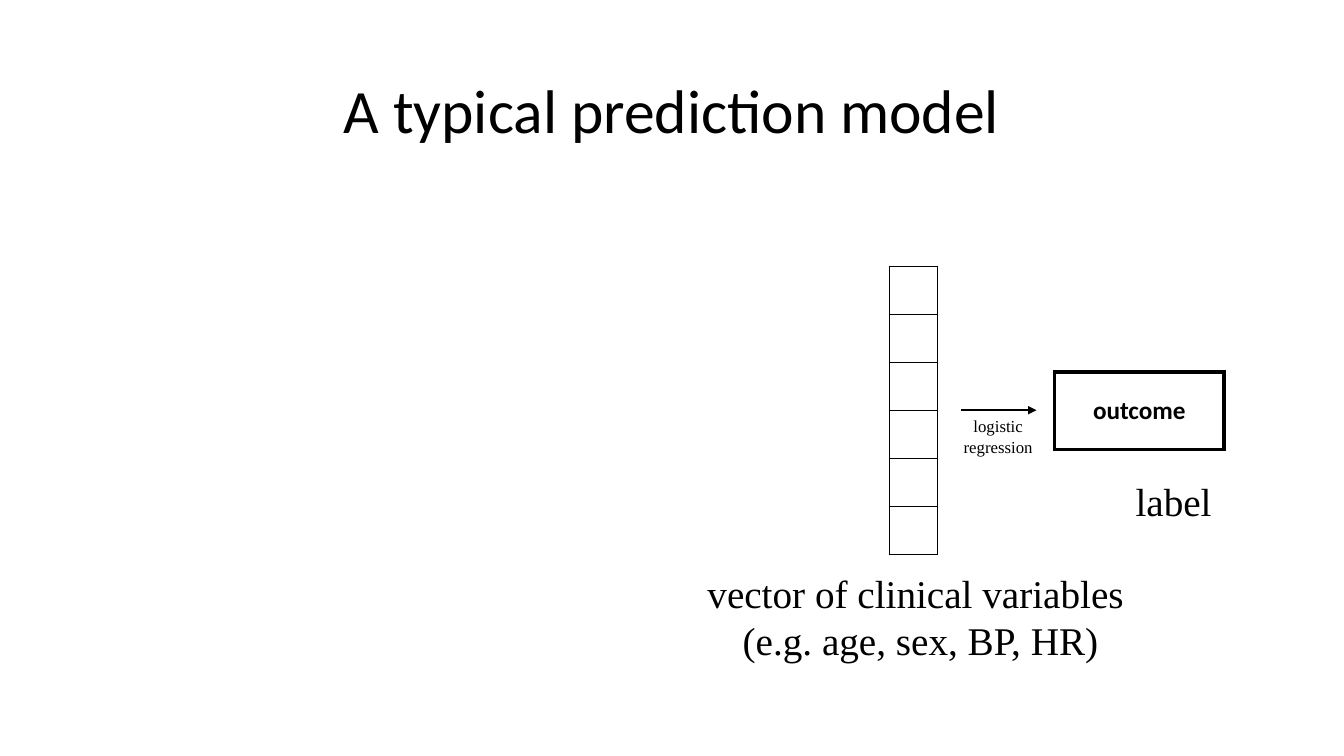
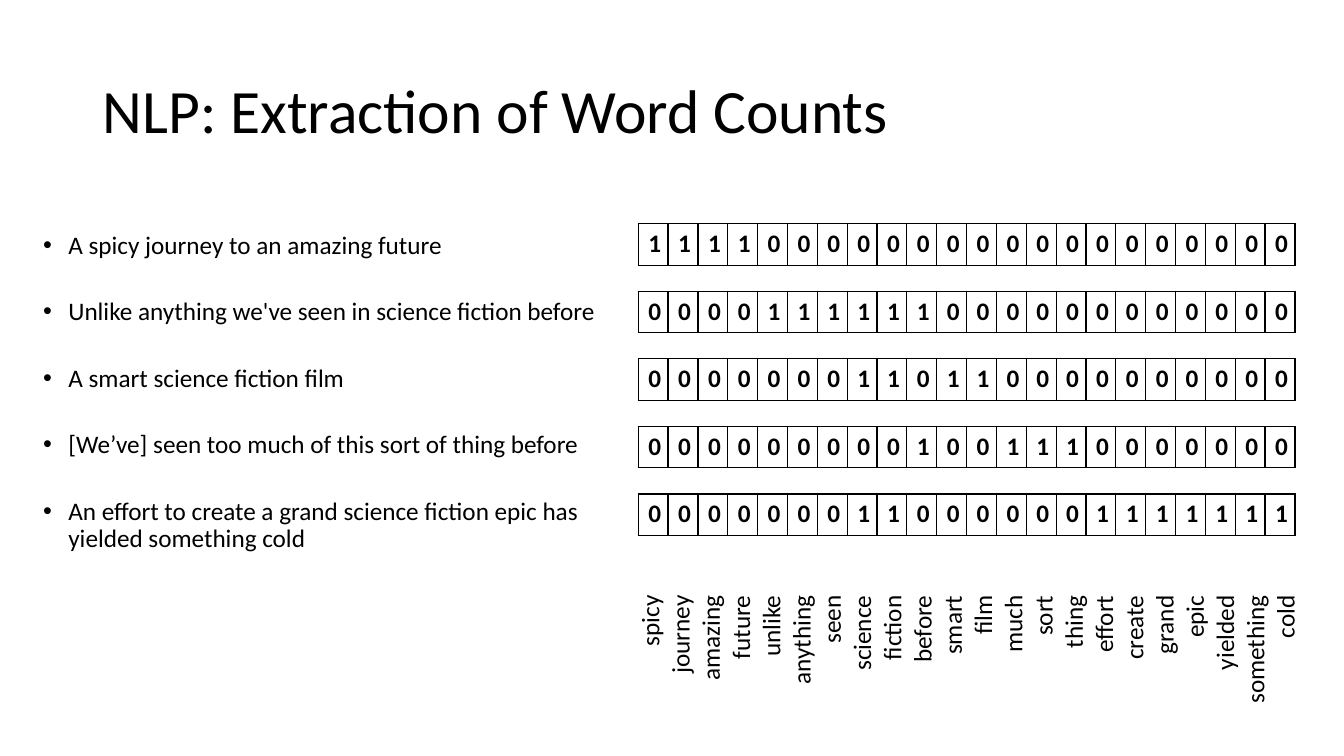
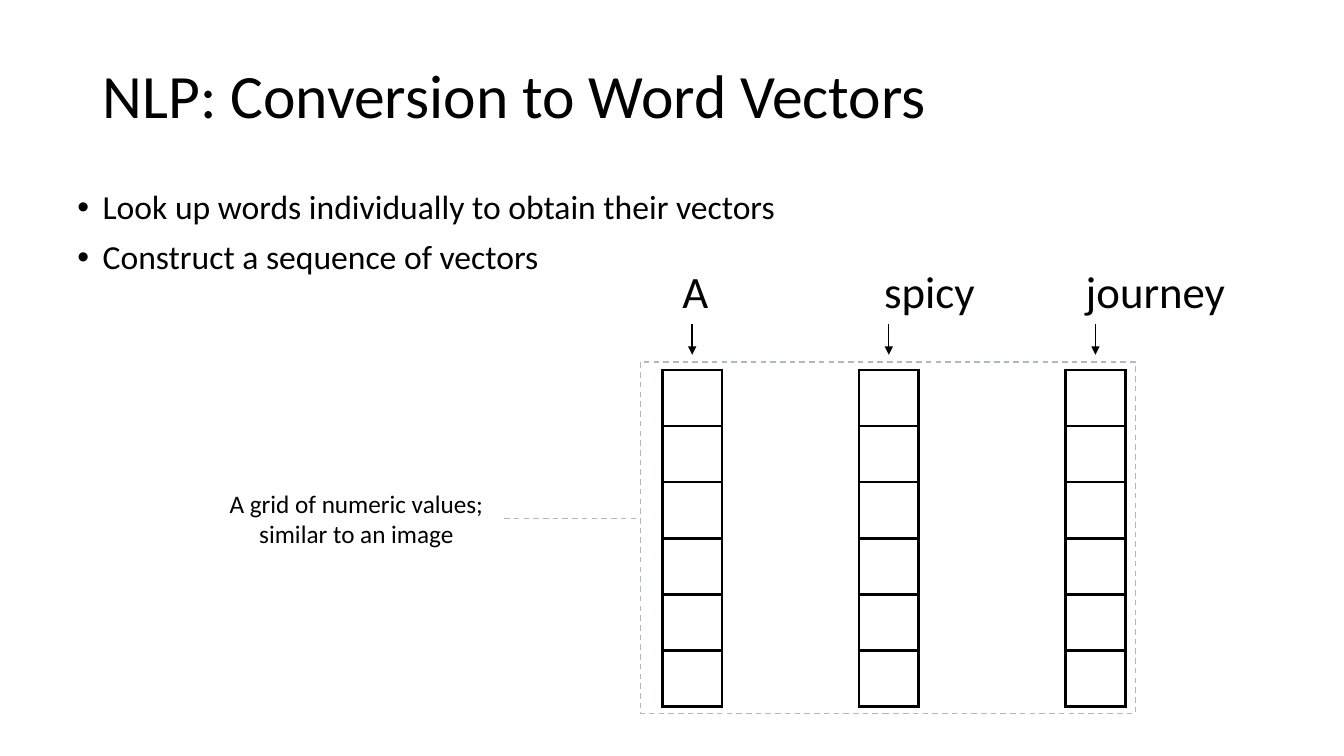
from lxml.etree import SubElement
from pptx import Presentation
from pptx.dml.color import RGBColor
from pptx.enum.dml import MSO_LINE
from pptx.enum.shapes import MSO_CONNECTOR, MSO_SHAPE
from pptx.enum.text import MSO_ANCHOR, PP_ALIGN
from pptx.oxml.ns import qn
from pptx.util import Inches, Pt

BLACK, GRAY_BLUE = "000000", "ADB9CA"
SANS, SERIF = "Calibri", "Times New Roman"
LEFT, CENTER, RIGHT = PP_ALIGN.LEFT, PP_ALIGN.CENTER, PP_ALIGN.RIGHT

CAPTIONS = [
    (["label"], (10.9, 4.69, 1.48, 0.57), 28),
    (["vector of clinical variables ", "(e.g. age, sex, BP, HR)"], (6.66, 5.6, 4.94, 1.04), 28),
    (["logistic", "regression"], (9.16, 4.08, 1.48, 0.5), 12),
]
REVIEWS = [
    ("A spicy journey to an amazing future", "spicy journey amazing future"),
    ("Unlike anything we've seen in science fiction before",
     "unlike anything seen science fiction before"),
    ("A smart science fiction film", "science fiction smart film"),
    ("[We’ve] seen too much of this sort of thing before", "before much sort thing"),
    ("An effort to create a grand science fiction epic has yielded something cold",
     "science fiction effort create grand epic yielded something cold"),
]
WORDS = list(dict.fromkeys(w for _, counted in REVIEWS for w in counted.split()))
STEPS = ["Look up words individually to obtain their vectors", "Construct a sequence of vectors"]
VECTOR_LEFTS = [6.57, 8.52, 10.57]
VECTOR_WIDTH = 0.59


def color(value):
    return RGBColor.from_string(value)


def inches(*values):
    return [Inches(v) for v in values]


def add_run(p, text, size, font=SANS, bold=False):
    r = p.add_run()
    r.text = text
    r.font.size = Pt(size)
    r.font.name = font
    r.font.bold = bold
    r.font.color.rgb = color(BLACK)


def add_bullet(p):
    pPr = p._p.get_or_add_pPr()
    pPr.set("marL", str(Inches(0.25)))
    pPr.set("indent", str(Inches(-0.25)))
    SubElement(pPr, qn("a:buFont"), typeface="Arial")
    SubElement(pPr, qn("a:buChar"), char="•")


def add_text(s, lines, box, size, font=SANS, align=LEFT, anchor=MSO_ANCHOR.TOP,
             spacing=None, bullets=False, after=0, wrap=True):
    tb = s.shapes.add_textbox(*inches(*box))
    tf = tb.text_frame
    tf.word_wrap = wrap
    tf.vertical_anchor = anchor
    for i, line in enumerate(lines):
        p = tf.add_paragraph() if i else tf.paragraphs[0]
        if bullets:
            add_bullet(p)
            p.space_before = Pt(10 if i else 0)
            p.space_after = Pt(after)
        p.alignment = align
        if spacing:
            p.line_spacing = spacing
        add_run(p, line, size, font)
    return tb


def add_slide(prs, title, box=(0.92, 0.4, 11.5, 1.45), align=LEFT):
    s = prs.slides.add_slide(prs.slide_layouts[6])
    add_text(s, [title], box, 44, align=align, anchor=MSO_ANCHOR.MIDDLE, spacing=0.9)
    return s


def add_grid(s, rows, box, border, anchor=MSO_ANCHOR.TOP):
    n_rows, n_cols = len(rows), len(rows[0])
    table = s.shapes.add_table(n_rows, n_cols, *inches(*box)).table
    table.first_row = table.horz_banding = False
    for col in table.columns:
        col.width = Inches(box[2] / n_cols)
    for row, values in zip(table.rows, rows):
        row.height = Inches(box[3] / n_rows)
        for cell, value in zip(row.cells, values):
            tcPr = cell._tc.get_or_add_tcPr()
            for side in ("lnL", "lnR", "lnT", "lnB"):
                ln = SubElement(tcPr, qn("a:" + side), w=str(Pt(border)))
                fill = SubElement(ln, qn("a:solidFill"))
                SubElement(fill, qn("a:srgbClr"), val=BLACK)
            cell.fill.background()
            cell.vertical_anchor = anchor
            if value:
                p = cell.text_frame.paragraphs[0]
                p.alignment = CENTER
                add_run(p, value, 18, bold=True)


def add_vector(s, box, border):
    add_grid(s, [[""]] * 6, box, border)


def add_line(s, start, end, width, line_color=BLACK, arrow=True):
    line = s.shapes.add_connector(MSO_CONNECTOR.STRAIGHT, *inches(*start, *end))
    line.line.width = Pt(width)
    line.line.color.rgb = color(line_color)
    if arrow:
        SubElement(line.line._get_or_add_ln(), qn("a:tailEnd"), type="triangle")
    else:
        line.line.dash_style = MSO_LINE.DASH
    SubElement(line._element.spPr, qn("a:effectLst"))
    return line


def prediction_slide(prs):
    s = add_slide(prs, "A typical prediction model", (0, 0.4, 13.33, 1.45), CENTER)
    add_vector(s, (8.82, 2.64, 0.48, 2.86), 1)
    add_grid(s, [["outcome"]], (10.46, 3.69, 1.68, 0.77), 3, MSO_ANCHOR.MIDDLE)
    add_line(s, (9.53, 4.07), (10.28, 4.07), 1.5)
    for lines, box, size in CAPTIONS:
        add_text(s, lines, box, size, SERIF, CENTER)


def word_count_slide(prs):
    s = add_slide(prs, "NLP: Extraction of Word Counts")
    add_text(s, [review for review, _ in REVIEWS], (0.33, 2.26, 5.83, 4.76), 18,
             spacing=0.9, bullets=True, after=18)
    words = add_text(s, WORDS, (8.98, 3.07, 1.29, 6.77), 18, align=RIGHT, wrap=False)
    words.rotation = 270
    for i, (_, counted) in enumerate(REVIEWS):
        counts = [str(counted.split().count(w)) for w in WORDS]
        add_grid(s, [counts], (6.33, 2.22 + 0.67 * i, 6.52, 0.41), 1)


def word_vector_slide(prs):
    s = add_slide(prs, "NLP: Conversion to Word Vectors", (0.92, 0.4, 11.5, 1.16))
    add_text(s, STEPS, (0.67, 1.84, 12, 1.06), 24, spacing=0.9, bullets=True)
    heads = add_text(s, ["A\tspicy\tjourney"], (6.67, 2.57, 5.64, 0.64), 32)
    tabs = SubElement(heads.text_frame.paragraphs[0]._p.get_or_add_pPr(), qn("a:tabLst"))
    for stop in (2, 4):
        SubElement(tabs, qn("a:tab"), pos=str(Inches(stop)), algn="l")
    for left in VECTOR_LEFTS:
        add_vector(s, (left, 3.67, VECTOR_WIDTH, 3.34), 2.25)
        mid = left + VECTOR_WIDTH / 2
        add_line(s, (mid, 3.21), (mid, 3.52), 1)
    note = add_text(s, ["A grid of numeric values;", "similar to an image"],
                    (2.07, 4.79, 2.93, 0.71), 18, align=CENTER)
    frame = s.shapes.add_shape(MSO_SHAPE.RECTANGLE, *inches(6.35, 3.59, 4.91, 3.49))
    frame.shadow.inherit = False
    frame.fill.background()
    frame.line.color.rgb = color(GRAY_BLUE)
    frame.line.width = Pt(1)
    frame.line.dash_style = MSO_LINE.DASH
    y = 4.79 + 0.71 / 2
    link = add_line(s, (5, y), (6.35, y), 1, GRAY_BLUE, arrow=False)
    link.begin_connect(note, 3)


def main():
    prs = Presentation()
    prs.slide_width, prs.slide_height = inches(13.33, 7.5)
    prediction_slide(prs)
    word_count_slide(prs)
    word_vector_slide(prs)
    prs.save("out.pptx")


if __name__ == "__main__":
    main()
